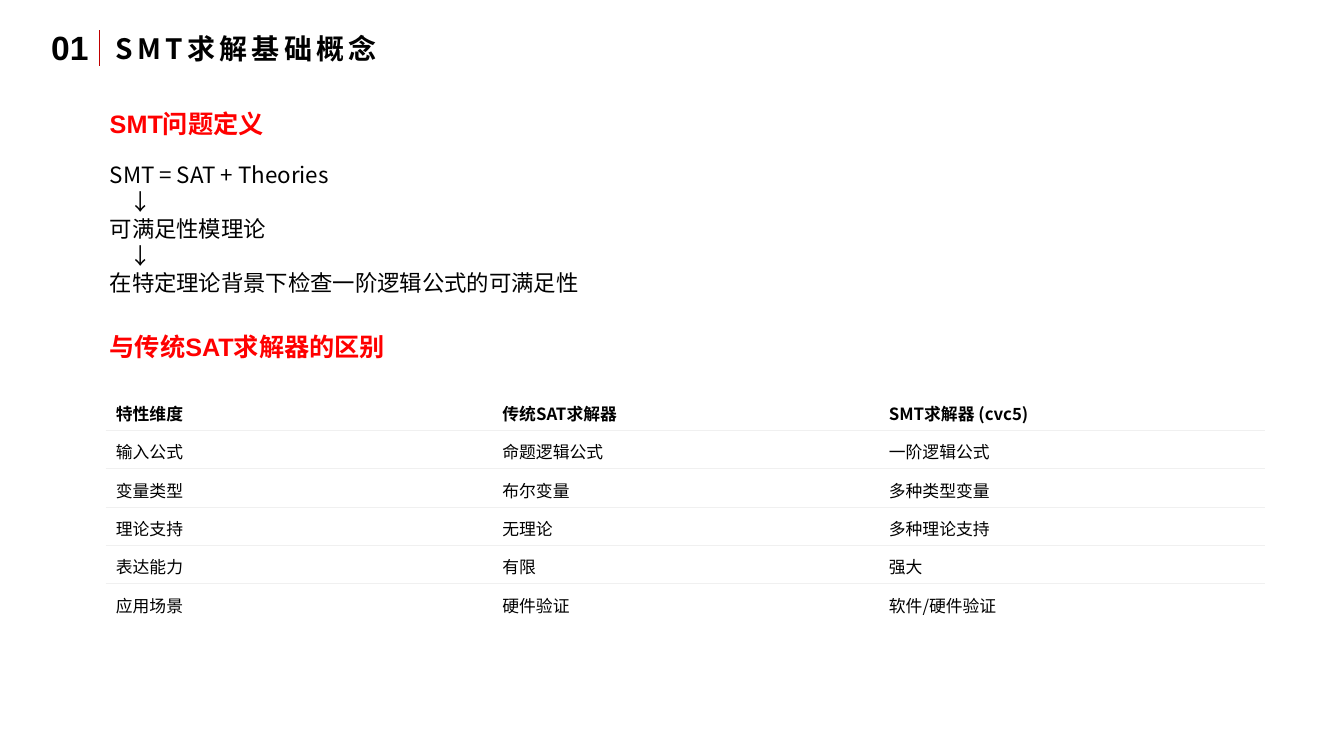
"""Build the slide on basic concepts of SMT solving."""
from typing import NamedTuple

from lxml.etree import SubElement
from pptx import Presentation
from pptx.dml.color import RGBColor
from pptx.enum.shapes import MSO_CONNECTOR
from pptx.enum.text import MSO_ANCHOR, MSO_AUTO_SIZE
from pptx.oxml.ns import qn
from pptx.util import Inches, Pt

BLACK = RGBColor(0x00, 0x00, 0x00)
RED = RGBColor(0xFF, 0x00, 0x00)
DARK_RED = RGBColor(0xC0, 0x00, 0x00)
WHITE = RGBColor(0xFF, 0xFF, 0xFF)
LIGHT_GRAY = RGBColor(0xF0, 0xF0, 0xF0)
ARIAL = "Arial"
NOTO = "Noto Sans CJK SC"

THIN, THICK = 0.64, 1.29
ROWS = [
    ("特性维度", "传统SAT求解器", "SMT求解器 (cvc5)"),
    ("输入公式", "命题逻辑公式", "一阶逻辑公式"),
    ("变量类型", "布尔变量", "多种类型变量"),
    ("理论支持", "无理论", "多种理论支持"),
    ("表达能力", "有限", "强大"),
    ("应用场景", "硬件验证", "软件/硬件验证"),
]


class TextBox(NamedTuple):
    left: float
    top: float
    width: float
    height: float
    lines: tuple[str, ...]
    size: int
    font: str = NOTO
    color: RGBColor = BLACK
    bold: bool = False
    wrap: bool = True
    spacing: int = 0


BOXES = [
    TextBox(0.41, 0.22, 0.58, 0.5, ("01",), 24, ARIAL, bold=True, wrap=False),
    TextBox(1.05, 0.26, 2.9, 0.44, ("SMT求解基础概念",), 20, bold=True, wrap=False, spacing=3),
    TextBox(0.99, 1.03, 6.67, 0.4, ("SMT问题定义",), 18, ARIAL, RED, True),
    TextBox(0.99, 1.55, 6.67, 1.48, (
        "SMT = SAT + Theories", "↓", "可满足性模理论", "↓",
        "在特定理论背景下检查一阶逻辑公式的可满足性"), 16),
    TextBox(0.99, 3.24, 6.67, 0.4, ("与传统SAT求解器的区别",), 18, ARIAL, RED, True),
]


def write(p, text: str, *, size: int, font: str = NOTO, color: RGBColor = BLACK,
          bold: bool = False, spacing: int = 0, indent: float = 0) -> None:
    if indent:
        pPr = p._p.get_or_add_pPr()
        pPr.set("marL", str(Inches(indent)))
        pPr.set("indent", "0")
    r = p.add_run()
    r.text = text
    r.font.size = Pt(size)
    r.font.bold = bold
    r.font.color.rgb = color
    r.font.name = font
    rPr = r._r.get_or_add_rPr()
    SubElement(rPr, qn("a:ea")).set("typeface", NOTO)
    if spacing:
        rPr.set("spc", str(spacing * 100))


def add_text(s, box: TextBox) -> None:
    sp = s.shapes.add_textbox(*map(Inches, box[:4]))
    tf = sp.text_frame
    tf.word_wrap = box.wrap
    tf.auto_size = MSO_AUTO_SIZE.SHAPE_TO_FIT_TEXT
    for i, line in enumerate(box.lines):
        p = tf.add_paragraph() if i else tf.paragraphs[0]
        write(p, line, size=box.size, font=box.font, color=box.color, bold=box.bold,
              spacing=box.spacing, indent=0.2 if line == "↓" else 0)


def add_divider(s) -> None:
    line = s.shapes.add_connector(
        MSO_CONNECTOR.STRAIGHT, Inches(0.99), Inches(0.3), Inches(0.99), Inches(0.65))
    line.line.color.rgb = DARK_RED
    line.line.width = Pt(0.5)
    SubElement(line._element.spPr, qn("a:effectLst"))


def set_border(tcPr, side: str, width: float) -> None:
    ln = SubElement(tcPr, qn(f"a:{side}"), w=str(Pt(width)))
    if width:
        fill = SubElement(ln, qn("a:solidFill"))
        SubElement(fill, qn("a:srgbClr"), val=str(LIGHT_GRAY))
    else:
        SubElement(ln, qn("a:noFill"))


def add_comparison(s) -> None:
    frame = s.shapes.add_table(
        len(ROWS), len(ROWS[0]), Inches(1.05), Inches(3.89), Inches(11.5), Inches(2.27))
    table = frame.table
    table.horz_banding = False
    rules = [0, THICK] + [THIN] * (len(ROWS) - 2) + [0]
    for i, row in enumerate(ROWS):
        for j, text in enumerate(row):
            cell = table.cell(i, j)
            cell.vertical_anchor = MSO_ANCHOR.MIDDLE
            cell.margin_left, cell.margin_right = Inches(0.1), Inches(0.11)
            cell.margin_top = cell.margin_bottom = Inches(0.09)
            write(cell.text_frame.paragraphs[0], text, size=12, bold=i == 0)
            tcPr = cell._tc.get_or_add_tcPr()
            for side, width in zip(("lnL", "lnR", "lnT", "lnB"), (0, 0, rules[i], rules[i + 1])):
                set_border(tcPr, side, width)
            cell.fill.solid()
            cell.fill.fore_color.rgb = WHITE


def main() -> None:
    prs = Presentation()
    prs.slide_width, prs.slide_height = Inches(13.33), Inches(7.5)
    s = prs.slides.add_slide(prs.slide_layouts[6])
    for box in BOXES:
        add_text(s, box)
    add_divider(s)
    add_comparison(s)
    prs.save("out.pptx")


if __name__ == "__main__":
    main()
